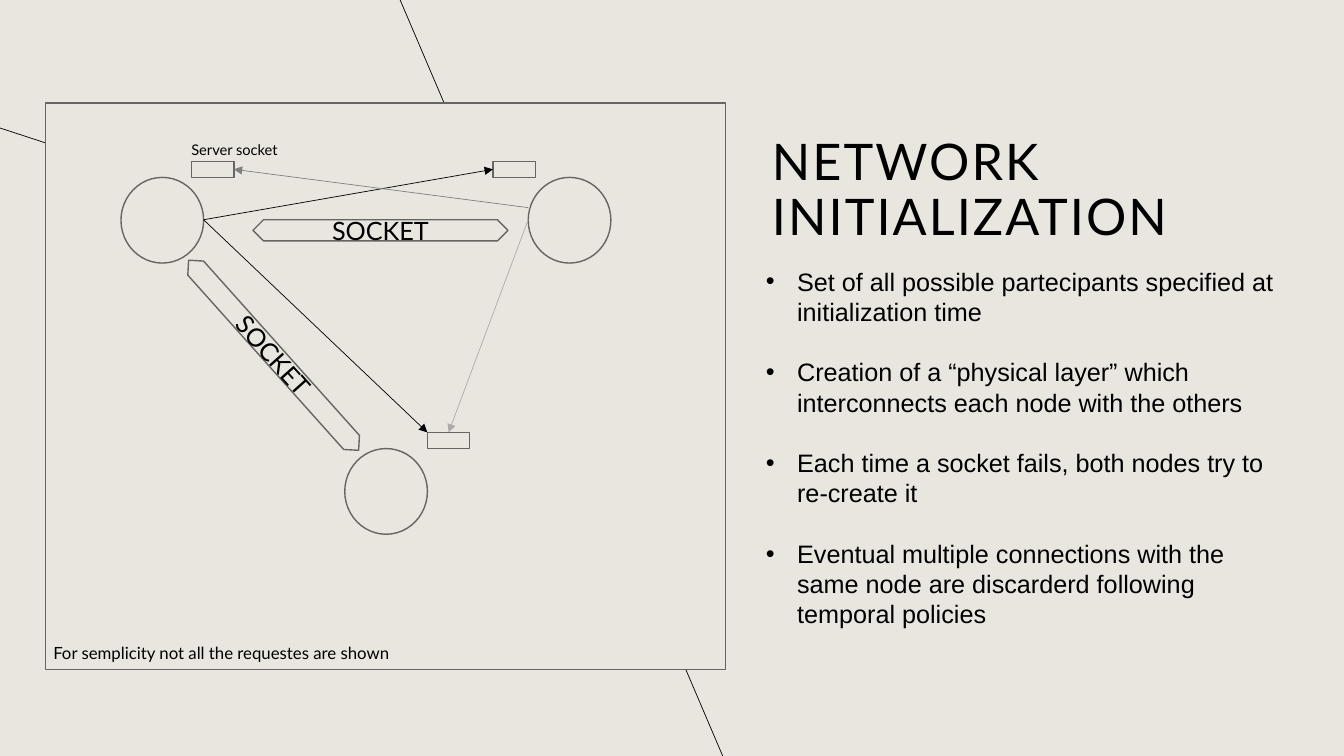
from lxml.etree import SubElement
from pptx import Presentation
from pptx.dml.color import RGBColor
from pptx.enum.shapes import MSO_CONNECTOR, MSO_SHAPE
from pptx.enum.text import MSO_ANCHOR, PP_ALIGN
from pptx.oxml.ns import qn
from pptx.util import Inches, Pt

CELL = 0.1
PAPER, EDGE, INK = "E9E6DF", "666562", "000000"
NODE_W, NODE_H = 8.2, 8.5
PORT_W, PORT_H = 4.2, 1.6
NODES = [(12, 17.6, 7), (52.4, 17.6, -3.5), (34.2, 44.5, 8.2)]
RAYS = [(71.7, 36.2, 0, 12.7), (71.7, 75, 39.7, 0)]
LINKS = [
    (20.2, 21.8, 48.9, 16.8, INK),
    (20.2, 21.8, 42.4, 42.9, INK),
    (52.4, 20.6, 23.2, 16.8, "808080"),
    (52.4, 21.8, 44.5, 42.9, "AFABAB"),
]
SOCKETS = [(14.5, 34.2, 48.2), (25.1, 21.8, 0)]
POINTS = [
    "Set of all possible partecipants specified at initialization time",
    "Creation of a “physical layer” which interconnects each node with the others",
    "Each time a socket fails, both nodes try to re-create it",
    "Eventual multiple connections with the same node are discarderd following temporal policies",
]


def grid(*cells):
    return [Inches(cell * CELL) for cell in cells]


def tint(code):
    return RGBColor.from_string(code)


def style(frame, size, font="Lato"):
    for para in frame.paragraphs:
        for run in para.runs:
            run.font.size = Pt(size)
            run.font.name = font
            run.font.color.rgb = tint(INK)


def shape(slide, kind, *box):
    form = slide.shapes.add_shape(kind, *grid(*box))
    form.shadow.inherit = False
    form.fill.solid()
    form.fill.fore_color.rgb = tint(PAPER)
    form.line.color.rgb = tint(EDGE)
    form.line.width = Pt(1)
    return form


def line(slide, ends, color=INK, arrow=False):
    link = slide.shapes.add_connector(MSO_CONNECTOR.STRAIGHT, *grid(*ends))
    link.line.color.rgb = tint(color)
    link.line.width = Pt(0.5)
    if arrow:
        SubElement(link.line._get_or_add_ln(), qn("a:tailEnd"), type="triangle")
    SubElement(link._element.spPr, qn("a:effectLst"))


def label(slide, text, size, *box, font="Lato"):
    frame = slide.shapes.add_textbox(*grid(*box)).text_frame
    frame.word_wrap = True
    frame.text = text
    style(frame, size, font)
    return frame


def node(slide, left, top, shift):
    shape(slide, MSO_SHAPE.FLOWCHART_CONNECTOR, left, top, NODE_W, NODE_H)
    shape(slide, MSO_SHAPE.RECTANGLE, left + shift, top - PORT_H, PORT_W, PORT_H)


def socket(slide, left, top, turn):
    form = shape(slide, MSO_SHAPE.LEFT_RIGHT_ARROW, left, top, 25.3, 2.1)
    form.adjustments[0] = 1
    form.adjustments[1] = 0.5
    form.rotation = turn
    frame = form.text_frame
    frame.text = "SOCKET"
    frame.vertical_anchor = MSO_ANCHOR.MIDDLE
    frame.paragraphs[0].alignment = PP_ALIGN.CENTER
    style(frame, 18)


def title(slide):
    frame = label(slide, "NETWORK INITIALIZATION", 36, 75.6, 10.2, 45.7, 14.7)
    frame.vertical_anchor = MSO_ANCHOR.BOTTOM
    para = frame.paragraphs[0]
    para.line_spacing = 0.9
    para.runs[0].font._element.set("spc", "150")


def bullets(slide):
    frame = label(slide, "\n".join(POINTS), 18, 75, 25.9, 53.3, 37.4, font="Arial")
    indent = Inches(0.31)
    for para in frame.paragraphs:
        para.line_spacing = Pt(21.6)
        para.space_after = Pt(21.6)
        props = para._p.get_or_add_pPr()
        props.set("marL", str(indent))
        props.set("indent", str(-indent))
        SubElement(props, qn("a:buFont"), typeface="Arial")
        SubElement(props, qn("a:buChar"), char="•")


def main():
    deck = Presentation()
    deck.slide_width, deck.slide_height = grid(133.33, 75)
    slide = deck.slides.add_slide(deck.slide_layouts[6])
    slide.background.fill.solid()
    slide.background.fill.fore_color.rgb = tint(PAPER)
    for ray in RAYS:
        line(slide, ray)
    title(slide)
    shape(slide, MSO_SHAPE.RECTANGLE, 4.5, 10.2, 67.5, 56.2)
    for spot in NODES:
        node(slide, *spot)
    for spot in SOCKETS:
        socket(slide, *spot)
    for *ends, color in LINKS:
        line(slide, ends, color, True)
    label(slide, "For semplicity not all the requestes are shown", 12, 4.3, 63.3, 47.2, 3)
    label(slide, "Server socket", 10.5, 18, 13.5, 10.8, 2.8).margin_right = 0
    bullets(slide)
    deck.save("out.pptx")


if __name__ == "__main__":
    main()
